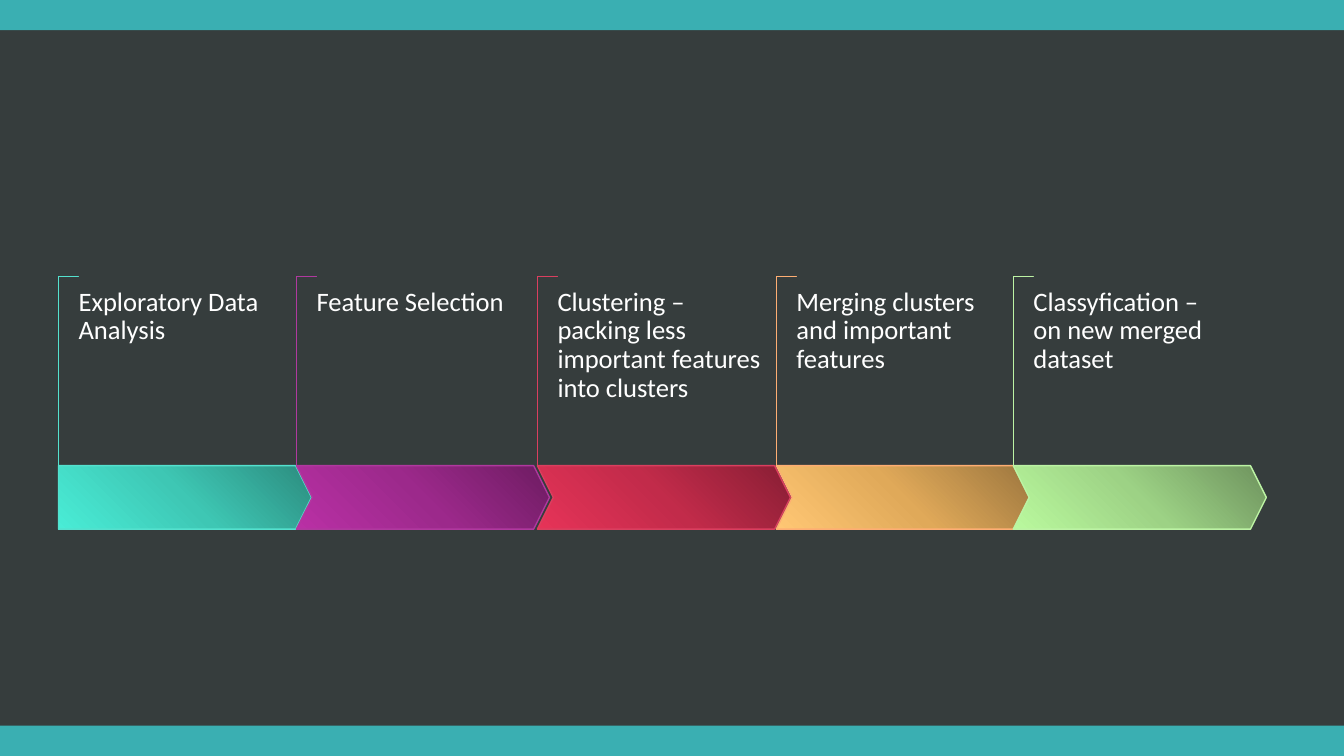
from lxml import etree
from pptx import Presentation
from pptx.dml.color import RGBColor
from pptx.enum.shapes import MSO_SHAPE as Shape
from pptx.enum.text import MSO_ANCHOR as Anchor, PP_ALIGN as Align
from pptx.oxml import parse_xml
from pptx.oxml.ns import nsdecls, qn
from pptx.util import Pt

EMU_PER_PX = 9144  # 100 px to the inch
PAGE_WIDTH, PAGE_HEIGHT = 1333, 750
BAR_HEIGHT = 30
ARROW_TOP, ARROW_WIDTH, ARROW_HEIGHT = 462, 251, 63
BRACKET_TOP, BRACKET_ARM = 274, 20
LABEL_TOP, LABEL_WIDTH = 286, 204

# left, label height, label, line, bracket fill, gradient from dark to light
STAGES = [
    (58, 164, "Exploratory Data Analysis", "54E1CE", "FFFFFF",
     ("2C8C7F", "3EC7B4", "49ECD6")),
    (294, 118, "Feature Selection", "B0399F", "FFFFFF",
     ("6E1C62", "9C298B", "B930A5")),
    (533, 118, "Clustering – packing less important features into clusters",
     "DA3F5F", "FFFFFF", ("881E34", "C22B4A", "E63358")),
    (770, 118, "Merging clusters and important features", "FEAE73", "FFFFFF",
     ("9D773F", "E0A959", "FFC774")),
    (1005, 118, "Classyfication –\von new merged dataset", "BCF3A4", "BCF3A4",
     ("6E935E", "9DD285", "BAF99E")),
]


def px(length):
    return int(length * EMU_PER_PX)


def color(value):
    return RGBColor.from_string(value)


def write(frame, text, *, size=19, font="Calibri", fill="FFFFFF", spacing=0.9):
    para = frame.paragraphs[0]
    para.text = text
    para.alignment = Align.LEFT
    para.line_spacing = spacing
    for span in para.runs:
        span.font.size = Pt(size)
        span.font.name = font
        span.font.color.rgb = color(fill)


class ProcessPage:
    background = "363D3D"
    accent = "3AAFB2"
    line_width = 1
    gradient_angle = 135

    def __init__(self, deck):
        self.page = deck.slides.add_slide(deck.slide_layouts[6])
        backdrop = self.page.background.fill
        backdrop.solid()
        backdrop.fore_color.rgb = color(self.background)

    def shape(self, kind, left, top, width, height, fill=None, line=None):
        box = self.page.shapes.add_shape(
            kind, px(left), px(top), px(width), px(height))
        box.shadow.inherit = False
        if fill:
            box.fill.solid()
            box.fill.fore_color.rgb = color(fill)
        if line:
            box.line.color.rgb = color(line)
            box.line.width = Pt(self.line_width)
        else:
            box.line.fill.background()
        return box

    def bar(self, top):
        self.shape(Shape.RECTANGLE, 0, top, PAGE_WIDTH, BAR_HEIGHT, self.accent)

    def bracket(self, left, fill, line):
        # An L shape turned a quarter, placed by its centre
        length = ARROW_TOP - BRACKET_TOP
        shift = (length - BRACKET_ARM) // 2
        box = self.shape(Shape.CORNER, left - shift, BRACKET_TOP + shift,
                         length, BRACKET_ARM, fill, line)
        box.rotation = 90
        box.adjustments[0] = box.adjustments[1] = 0.01

    def arrow(self, kind, left, shades, line):
        box = self.shape(kind, left, ARROW_TOP, ARROW_WIDTH, ARROW_HEIGHT,
                         line=line)
        box.adjustments[0] = 0.25
        gradient = parse_xml(f'<a:gradFill {nsdecls("a")} rotWithShape="1"/>')
        stops = etree.SubElement(gradient, qn("a:gsLst"))
        for position, shade in zip((0, 50, 100), shades):
            stop = etree.SubElement(stops, qn("a:gs"), pos=str(position * 1000))
            etree.SubElement(stop, qn("a:srgbClr"), val=shade)
        etree.SubElement(gradient, qn("a:lin"), scaled="1",
                         ang=str(self.gradient_angle * 60000))
        box.element.spPr.find(qn("a:prstGeom")).addnext(gradient)

    def label(self, left, height, text):
        box = self.page.shapes.add_textbox(
            px(left), px(LABEL_TOP), px(LABEL_WIDTH), px(height))
        frame = box.text_frame
        frame.word_wrap = True
        frame.vertical_anchor = Anchor.TOP
        frame.margin_left = frame.margin_right = 0
        frame.margin_top = frame.margin_bottom = 0
        write(frame, text)


def main():
    deck = Presentation()
    deck.slide_width, deck.slide_height = px(PAGE_WIDTH), px(PAGE_HEIGHT)
    process = ProcessPage(deck)

    # Bars along the page edges
    for top in (PAGE_HEIGHT - BAR_HEIGHT, 0):
        process.bar(top)

    # Process stages
    for index, (left, height, text, line, fill, shades) in enumerate(STAGES):
        process.bracket(left, fill, line)
        kind = Shape.CHEVRON if index else Shape.PENTAGON
        process.arrow(kind, left, shades, line)
        process.label(left + BRACKET_ARM, height, text)

    deck.save("out.pptx")


if __name__ == "__main__":
    main()
